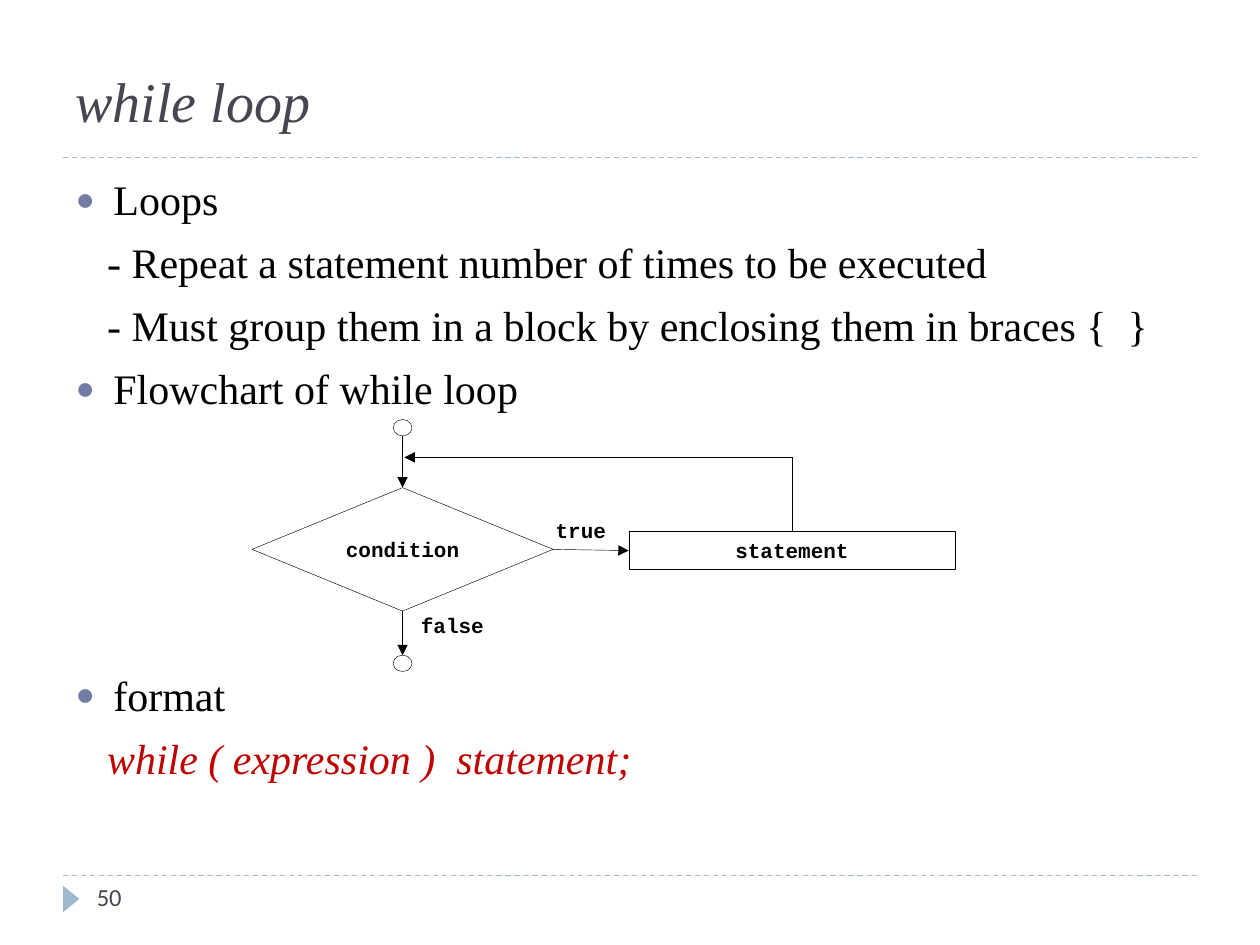
from dataclasses import dataclass

from pptx import Presentation
from pptx.dml.color import RGBColor
from pptx.enum.dml import MSO_LINE
from pptx.enum.shapes import MSO_CONNECTOR, MSO_SHAPE
from pptx.enum.text import MSO_ANCHOR, MSO_AUTO_SIZE, PP_ALIGN
from pptx.oxml.ns import qn
from pptx.util import Inches, Pt
from lxml.etree import SubElement

SERIF, SANS, MONO = "Times New Roman", "Calibri", "Courier New"
BLACK, WHITE, SLATE, RED = "000000", "FFFFFF", "464653", "C00000"
PALE_BLUE, BULLET_BLUE = "9FB8CD", "727CA3"
TOP, LEFT, BOTTOM, RIGHT = range(4)
LINE_GAP = 7.2
FLOWCHART_GAP = 146.4


@dataclass
class Line:
    text: str
    bullet: bool = False
    space_before: float = LINE_GAP
    color: str = BLACK
    italic: bool = False


@dataclass
class Node:
    kind: MSO_SHAPE
    box: tuple
    text: str = ""
    fill: str = ""


@dataclass
class Label:
    text: str
    box: tuple


BODY = [
    Line("Loops", bullet=True),
    Line("- Repeat a statement number of times to be executed"),
    Line("- Must group them in a block by enclosing them in braces {  }"),
    Line("Flowchart of while loop", bullet=True),
    Line("format", bullet=True, space_before=FLOWCHART_GAP),
    Line("while ( expression )  statement;", color=RED, italic=True),
]
NODES = {
    "start": Node(MSO_SHAPE.OVAL, (3.12, 3.33, 0.15, 0.13)),
    "condition": Node(MSO_SHAPE.DIAMOND, (2, 3.87, 2.39, 0.98), "condition", WHITE),
    "statement": Node(MSO_SHAPE.RECTANGLE, (4.99, 4.22, 2.59, 0.3), "statement"),
    "end": Node(MSO_SHAPE.OVAL, (3.12, 5.2, 0.15, 0.13)),
}
LABELS = [Label("true", (4.41, 4.11, 0.53, 0.27)), Label("false", (3.34, 4.86, 0.65, 0.27))]


def rgb(color: str) -> RGBColor:
    return RGBColor.from_string(color)


def inches(values: tuple) -> list:
    return [Inches(value) for value in values]


def style(paragraph, font: str, size: float, color: str, bold=False, italic=False) -> None:
    for run in paragraph.runs:
        run.font.name, run.font.size = font, Pt(size)
        run.font.bold, run.font.italic = bold, italic
        run.font.color.rgb = rgb(color)


def place(shape, box: tuple) -> None:
    shape.left, shape.top, shape.width, shape.height = inches(box)


def set_bullet(paragraph, bullet: bool) -> None:
    """Set the indent and either the round bullet or none."""
    properties = paragraph._p.get_or_add_pPr()
    indent = Inches(0.3) if bullet else 0
    properties.set("marL", str(indent or Inches(0.25)))
    properties.set("indent", str(-indent))
    if not bullet:
        SubElement(properties, qn("a:buNone"))
        return
    SubElement(SubElement(properties, qn("a:buClr")), qn("a:srgbClr"), val=BULLET_BLUE)
    SubElement(properties, qn("a:buSzPct"), val="76000")
    SubElement(properties, qn("a:buChar"), char="●")


def remove_insets(frame) -> None:
    frame.margin_left = frame.margin_right = frame.margin_top = frame.margin_bottom = 0


def add_text(slide, text: str, box: tuple):
    shape = slide.shapes.add_textbox(*inches(box))
    shape.text_frame.word_wrap = True
    shape.text_frame.text = text
    return shape.text_frame


def add_node(slide, node: Node):
    shape = slide.shapes.add_shape(node.kind, *inches(node.box))
    shape.shadow.inherit = False
    shape.line.color.rgb, shape.line.width = rgb(BLACK), Pt(0.25)
    if node.fill:
        shape.fill.solid()
        shape.fill.fore_color.rgb = rgb(node.fill)
    else:
        shape.fill.background()
    if node.text:
        frame = shape.text_frame
        remove_insets(frame)
        frame.text, frame.vertical_anchor = node.text, MSO_ANCHOR.MIDDLE
        frame.paragraphs[0].alignment = PP_ALIGN.CENTER
        style(frame.paragraphs[0], MONO, 12, BLACK, bold=True)
    return shape


def add_line(slide, start: tuple, end: tuple, color=BLACK, width=0.25, arrow=False):
    line = slide.shapes.add_connector(MSO_CONNECTOR.STRAIGHT, *inches(start + end))
    line.line.color.rgb, line.line.width = rgb(color), Pt(width)
    if arrow:
        SubElement(line.line._get_or_add_ln(), qn("a:tailEnd"), type="triangle")
    SubElement(line._element.spPr, qn("a:effectLst"))
    return line


def side(node: Node, index: int) -> tuple:
    """Middle of one side of a node's box."""
    left, top, width, height = node.box
    across = {LEFT: 0, RIGHT: 1}.get(index, 0.5)
    down = {TOP: 0, BOTTOM: 1}.get(index, 0.5)
    return left + across * width, top + down * height


def add_frame(slide) -> None:
    """Draw the dashed rules, the page marker and the page number."""
    for y in (1.25, 6.95):
        rule = add_line(slide, (0.5, y), (9.5, y), PALE_BLUE, 0.75)
        rule.line.dash_style = MSO_LINE.DASH
    marker = slide.shapes.add_shape(MSO_SHAPE.ISOSCELES_TRIANGLE, *inches((0.46, 7.07, 0.21, 0.13)))
    marker.rotation = 90
    marker.shadow.inherit = False
    marker.fill.solid()
    marker.fill.fore_color.rgb = rgb(PALE_BLUE)
    marker.line.fill.background()
    number = add_text(slide, "50", (0.67, 6.95, 2.17, 0.4))
    style(number.paragraphs[0], SANS, 14, SLATE)


def fill_placeholders(slide) -> None:
    title, body = slide.shapes.title, slide.placeholders[1]
    place(title, (0.5, 0.03, 9, 1.08))
    title.text_frame.text = "while loop"
    title.text_frame.vertical_anchor = MSO_ANCHOR.BOTTOM
    heading = title.text_frame.paragraphs[0]
    heading.alignment = PP_ALIGN.LEFT
    style(heading, SERIF, 32, SLATE, italic=True)

    place(body, (0.5, 1.33, 9, 5.59))
    frame = body.text_frame
    frame.auto_size = MSO_AUTO_SIZE.NONE
    frame.text = "\n".join(line.text for line in BODY)
    for paragraph, line in zip(frame.paragraphs, BODY):
        paragraph.space_before = Pt(line.space_before)
        set_bullet(paragraph, line.bullet)
        style(paragraph, SERIF, 24, line.color, italic=line.italic)


def add_flowchart(slide) -> None:
    shapes = {name: add_node(slide, node) for name, node in NODES.items()}
    condition, statement = NODES["condition"], NODES["statement"]

    entry = add_line(slide, side(NODES["start"], BOTTOM), side(condition, TOP), arrow=True)
    entry.end_connect(shapes["condition"], TOP)
    leave = add_line(slide, side(condition, BOTTOM), side(NODES["end"], TOP), arrow=True)
    leave.begin_connect(shapes["condition"], BOTTOM)
    repeat = add_line(slide, side(condition, RIGHT), side(statement, LEFT), arrow=True)
    repeat.begin_connect(shapes["condition"], RIGHT)
    repeat.end_connect(shapes["statement"], LEFT)

    corner = (side(statement, TOP)[0], 3.63)
    rise = add_line(slide, side(statement, TOP), corner)
    rise.begin_connect(shapes["statement"], TOP)
    add_line(slide, corner, (3.21, corner[1]), arrow=True)

    for label in LABELS:
        frame = add_text(slide, label.text, label.box)
        remove_insets(frame)
        style(frame.paragraphs[0], MONO, 12, BLACK, bold=True)


def main() -> None:
    presentation = Presentation()
    presentation.slide_width, presentation.slide_height = Inches(10), Inches(7.5)
    slide = presentation.slides.add_slide(presentation.slide_layouts[1])
    add_frame(slide)
    fill_placeholders(slide)
    add_flowchart(slide)
    presentation.save("out.pptx")


if __name__ == "__main__":
    main()
